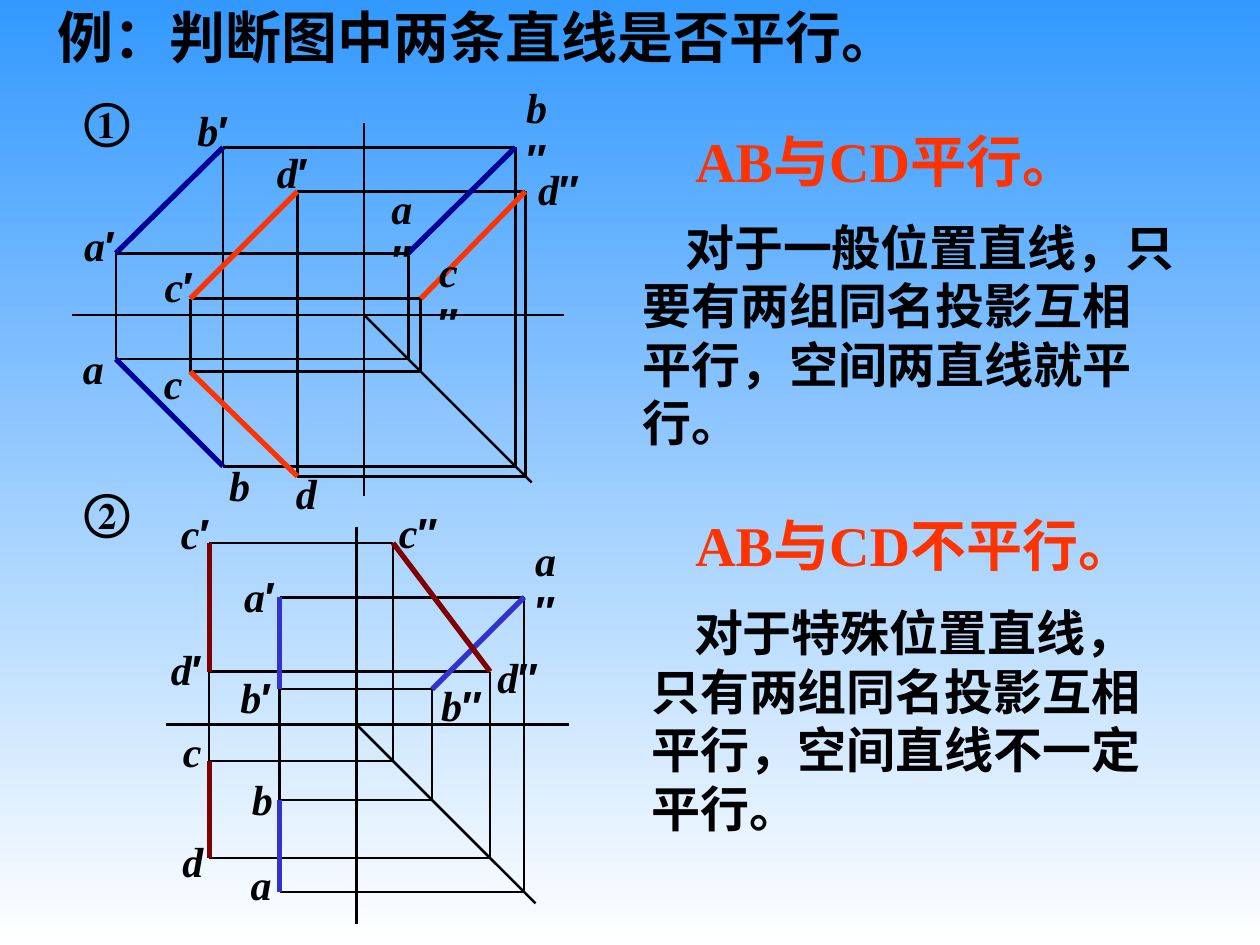
from lxml import etree
from pptx import Presentation
from pptx.dml.color import RGBColor
from pptx.enum.shapes import MSO_CONNECTOR
from pptx.enum.text import MSO_ANCHOR, PP_ALIGN
from pptx.oxml.ns import qn
from pptx.util import Inches, Pt

STRAIGHT = MSO_CONNECTOR.STRAIGHT
MIDDLE = MSO_ANCHOR.MIDDLE
CENTER = PP_ALIGN.CENTER
LEFT = PP_ALIGN.LEFT
SERIF, SANS, CHINESE = "Times New Roman", "Arial", "Noto Sans CJK SC"
BLACK, RED = "000000", "FF3300"
PRIMES = "′″"
STACKED_WIDTH = 0.5

HEADINGS = [
    ("例：判断图中两条直线是否平行。", 0.36, -0.03, 6.87, BLACK),
    ("AB与CD平行。", 5.42, 0.95, 3.56, RED),
    ("AB与CD不平行。", 5.42, 4, 4, RED),
]
EXPLANATIONS = [
    ("对于一般位置直线，只要有两组同名投影互相平行，空间两直线就平行。", 5, 1.67, 4.44),
    ("对于特殊位置直线，只有两组同名投影互相平行，空间直线不一定平行。", 5.07, 4.73, 4.36),
]
FIGURES = [
    {
        "number": ("①", 0.57, 0.66, 0.65),
        "origin": (2.89, 2.5),
        "x_axis": (0.57, 4.48),
        "y_axis": (0.98, 3.94),
        "diagonal": 1.33,
        "points": {"a": (0.92, 2.01, 2.85), "b": (1.77, 1.17, 3.7),
                   "c": (1.51, 2.37, 2.95), "d": (2.36, 1.52, 3.78)},
        "segments": [("a", "b", "000099"), ("c", "d", RED)],
        "labels": [("a′", 0.55, 1.69, 0.48), ("b′", 1.45, 0.78, 0.48),
                   ("c′", 1.19, 2.02, 0.46), ("d′", 2.01, 1.11, 0.62),
                   ("a", 0.56, 2.67, 0.36), ("b", 1.72, 3.6, 0.36),
                   ("c", 1.2, 2.79, 0.35), ("d", 2.25, 3.66, 0.36),
                   ("a″", 2.94, 1.6, STACKED_WIDTH), ("b″", 4.01, 0.8, STACKED_WIDTH),
                   ("c″", 3.31, 2.1, STACKED_WIDTH), ("d″", 4.03, 1.25, 0.81)],
    },
    {
        "number": ("②", 0.57, 3.76, 0.56),
        "origin": (2.83, 5.75),
        "x_axis": (1.32, 4.52),
        "y_axis": (4.18, 7.33),
        "diagonal": 1.42,
        "points": {"a": (2.22, 4.74, 7.08), "b": (2.22, 5.47, 6.35),
                   "c": (1.66, 4.31, 6.04), "d": (1.66, 5.33, 6.81)},
        "segments": [("a", "b", "3333CC"), ("c", "d", "800000")],
        "labels": [("a′", 1.82, 4.48, 0.48), ("b′", 1.79, 5.28, 0.48),
                   ("c′", 1.32, 3.98, 0.46), ("d′", 1.12, 5.06, 0.72),
                   ("a", 1.89, 6.76, 0.36), ("b", 1.9, 6.09, 0.36),
                   ("c", 1.35, 5.71, 0.35), ("d", 1.35, 6.58, 0.36),
                   ("a″", 4.08, 4.39, STACKED_WIDTH), ("b″", 3.3, 5.34, 0.73),
                   ("c″", 2.96, 3.97, 0.72), ("d″", 3.78, 5.12, 0.66)],
    },
]


def rgb(value):
    return RGBColor.from_string(value)


def add_line(start, end, color=BLACK, width=1.5):
    line = slide.shapes.add_connector(STRAIGHT, *map(Inches, (*start, *end)))
    line.line.color.rgb = rgb(color)
    line.line.width = Pt(width)
    etree.SubElement(line._element.spPr, qn("a:effectLst"))


def add_text(text, left, top, width, height, size, color=BLACK,
             align=LEFT, wrap=False, italic=False):
    frame = slide.shapes.add_textbox(*map(Inches, (left, top, width, height))).text_frame
    frame.word_wrap = wrap
    frame.vertical_anchor = MIDDLE
    paragraph = frame.paragraphs[0]
    paragraph.alignment = align
    letters = text.rstrip(PRIMES)
    for part, face, slanted in ((letters, SERIF, italic), (text[len(letters):], SANS, False)):
        if part:
            run = paragraph.add_run()
            run.text = part
            for name, value in {"name": face, "size": Pt(size), "bold": True,
                                "italic": slanted}.items():
                setattr(run.font, name, value)
            run.font.color.rgb = rgb(color)
            if not italic:
                etree.SubElement(run._r.get_or_add_rPr(), qn("a:ea"), typeface=CHINESE)
    return paragraph


def draw_figure(figure):
    origin_x, origin_y = figure["origin"]
    reach = figure["diagonal"]
    add_line((figure["x_axis"][0], origin_y), (figure["x_axis"][1], origin_y))
    add_line((origin_x, figure["y_axis"][0]), (origin_x, figure["y_axis"][1]))
    add_line(figure["origin"], (origin_x + reach, origin_y + reach))

    views = {}
    for name, (x, front, top) in figure["points"].items():
        side_x = origin_x + top - origin_y
        views[name] = [(x, front), (x, top), (side_x, front)]
        add_line((x, front), (side_x, front))
        add_line((x, top), (side_x, top))
        add_line((side_x, top), (side_x, front))

    points = figure["points"].values()
    for x in sorted({point[0] for point in points}):
        column = [point for point in points if point[0] == x]
        add_line((x, max(point[1] for point in column)),
                 (x, min(point[2] for point in column)))

    for first, second, color in figure["segments"]:
        for start, end in zip(views[first], views[second]):
            add_line(start, end, color, 3)

    add_text(*figure["number"], 0.57, 28)
    for label, left, top, width in figure["labels"]:
        stacked = width == STACKED_WIDTH
        add_text(label, left, top, width, 0.5, 24, align=CENTER, wrap=stacked, italic=True)


prs = Presentation()
prs.slide_width, prs.slide_height = Inches(10), Inches(7.5)
slide = prs.slides.add_slide(prs.slide_layouts[6])
background = slide.background.fill
background.gradient()
background.gradient_angle = 270
for stop, color in zip(background.gradient_stops, ("3399FF", "FFFFFF")):
    stop.color.rgb = rgb(color)

for text, left, top, width, color in HEADINGS:
    add_text(text, left, top, width, 0.64, 32, color)
for text, left, top, width in EXPLANATIONS:
    paragraph = add_text(text, left, top, width, 1.97, 28, wrap=True)
    paragraph.line_spacing = Pt(33.4)
    paragraph._p.get_or_add_pPr().set("indent", str(Inches(0.34)))
for figure in FIGURES:
    draw_figure(figure)

prs.save("out.pptx")
